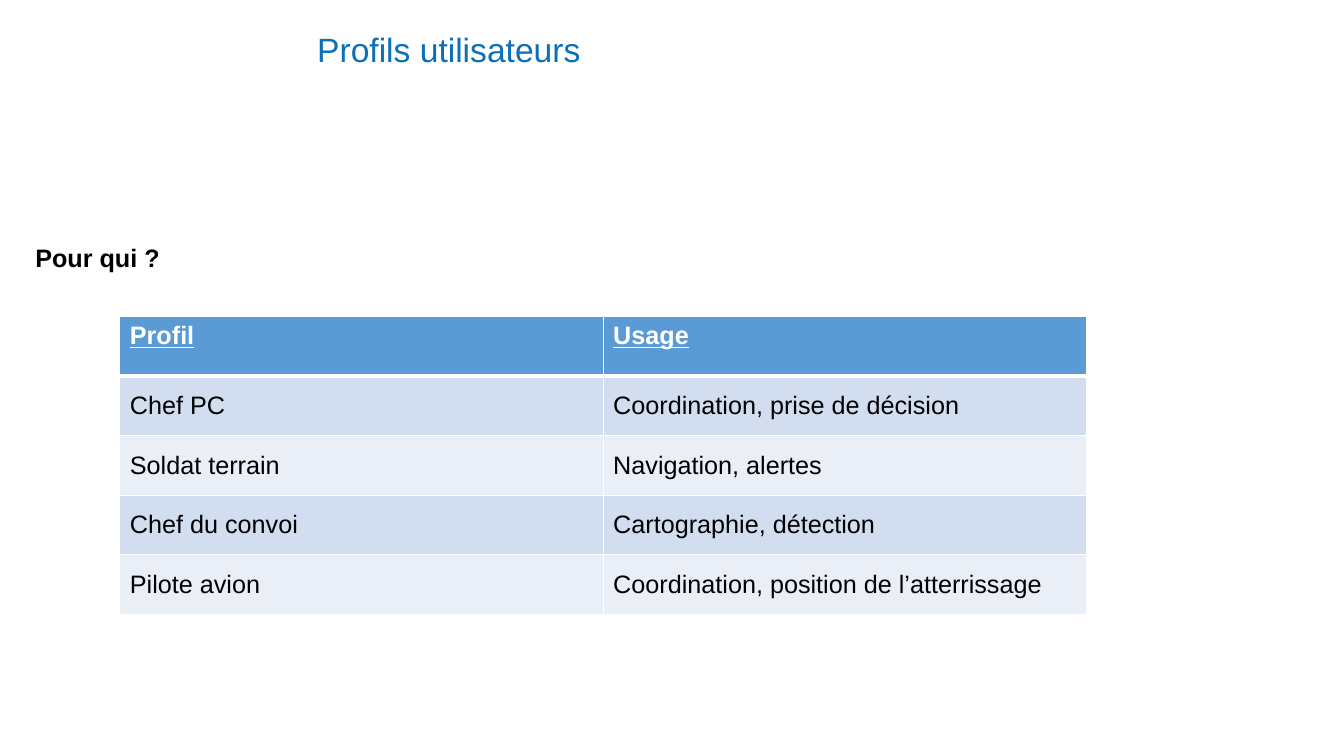
from lxml.etree import SubElement
from pptx import Presentation
from pptx.dml.color import RGBColor
from pptx.enum.text import MSO_ANCHOR as Anchor, PP_ALIGN as Align
from pptx.oxml.ns import qn
from pptx.util import Cm, Pt

TITLE_BLUE = RGBColor(0x0C, 0x70, 0xB7)
HEADER_BLUE = RGBColor(0x5B, 0x9B, 0xD5)
BAND_DARK = RGBColor(0xD2, 0xDE, 0xEF)
BAND_LIGHT = RGBColor(0xEA, 0xEF, 0xF7)
BLACK = RGBColor(0, 0, 0)
WHITE = RGBColor(0xFF, 0xFF, 0xFF)

PROFILES = [
    ("Profil", "Usage"),
    ("Chef PC", "Coordination, prise de décision"),
    ("Soldat terrain", "Navigation, alertes"),
    ("Chef du convoi", "Cartographie, détection"),
    ("Pilote avion", "Coordination, position de l’atterrissage"),
]


def add_run(paragraph, text, size, color, bold=False, underline=False):
    run = paragraph.add_run()
    run.text = text
    font = run.font
    font.name = "Arial"
    font.size = Pt(size)
    font.color.rgb = color
    font.bold = bold
    font.underline = underline


def add_title(slide, left, top, width, height):
    title = slide.shapes.title
    title.left, title.top, title.width, title.height = left, top, width, height
    title.text_frame.vertical_anchor = Anchor.MIDDLE
    paragraph = title.text_frame.paragraphs[0]
    paragraph.alignment = Align.LEFT
    paragraph.line_spacing = 0.9
    add_run(paragraph, "Profils utilisateurs", 24, TITLE_BLUE)


def add_question(slide, left, top, width, height):
    frame = slide.shapes.add_textbox(left, top, width, height).text_frame
    frame.word_wrap = True
    frame.margin_top = frame.margin_bottom = 0
    add_run(frame.paragraphs[0], "Pour qui ?", 18, BLACK, bold=True)


def set_borders(cell, top_width, bottom_width):
    properties = cell._tc.get_or_add_tcPr()
    widths = {"a:lnL": 1, "a:lnR": 1, "a:lnT": top_width, "a:lnB": bottom_width}
    for tag, width in widths.items():
        line = SubElement(properties, qn(tag), w=str(Pt(width)))
        fill = SubElement(line, qn("a:solidFill"))
        SubElement(fill, qn("a:srgbClr"), val=str(WHITE))


def add_profile_table(slide, left, top, width, height):
    row_count, column_count = len(PROFILES), len(PROFILES[0])
    table = slide.shapes.add_table(row_count, column_count, left, top, width, height).table
    for row_index, texts in enumerate(PROFILES):
        header = row_index == 0
        band = BAND_DARK if row_index % 2 else BAND_LIGHT
        for column_index, text in enumerate(texts):
            cell = table.cell(row_index, column_index)
            set_borders(cell, 3 if row_index == 1 else 1, 3 if header else 1)
            cell.fill.solid()
            cell.fill.fore_color.rgb = HEADER_BLUE if header else band
            cell.vertical_anchor = Anchor.TOP if header else Anchor.MIDDLE
            add_run(cell.text_frame.paragraphs[0], text, 18,
                    WHITE if header else BLACK, bold=header, underline=header)


def main():
    presentation = Presentation()
    presentation.slide_width = Cm(33.87)
    presentation.slide_height = Cm(19.05)
    slide = presentation.slides.add_slide(presentation.slide_layouts[5])
    add_title(slide, Cm(7.74), Cm(0.41), Cm(26.13), Cm(1.8))
    add_question(slide, Cm(0.64), Cm(6.1), Cm(33.23), Cm(1.27))
    add_profile_table(slide, Cm(3.02), Cm(7.98), Cm(24.36), Cm(7.5))
    presentation.save("out.pptx")


if __name__ == "__main__":
    main()
